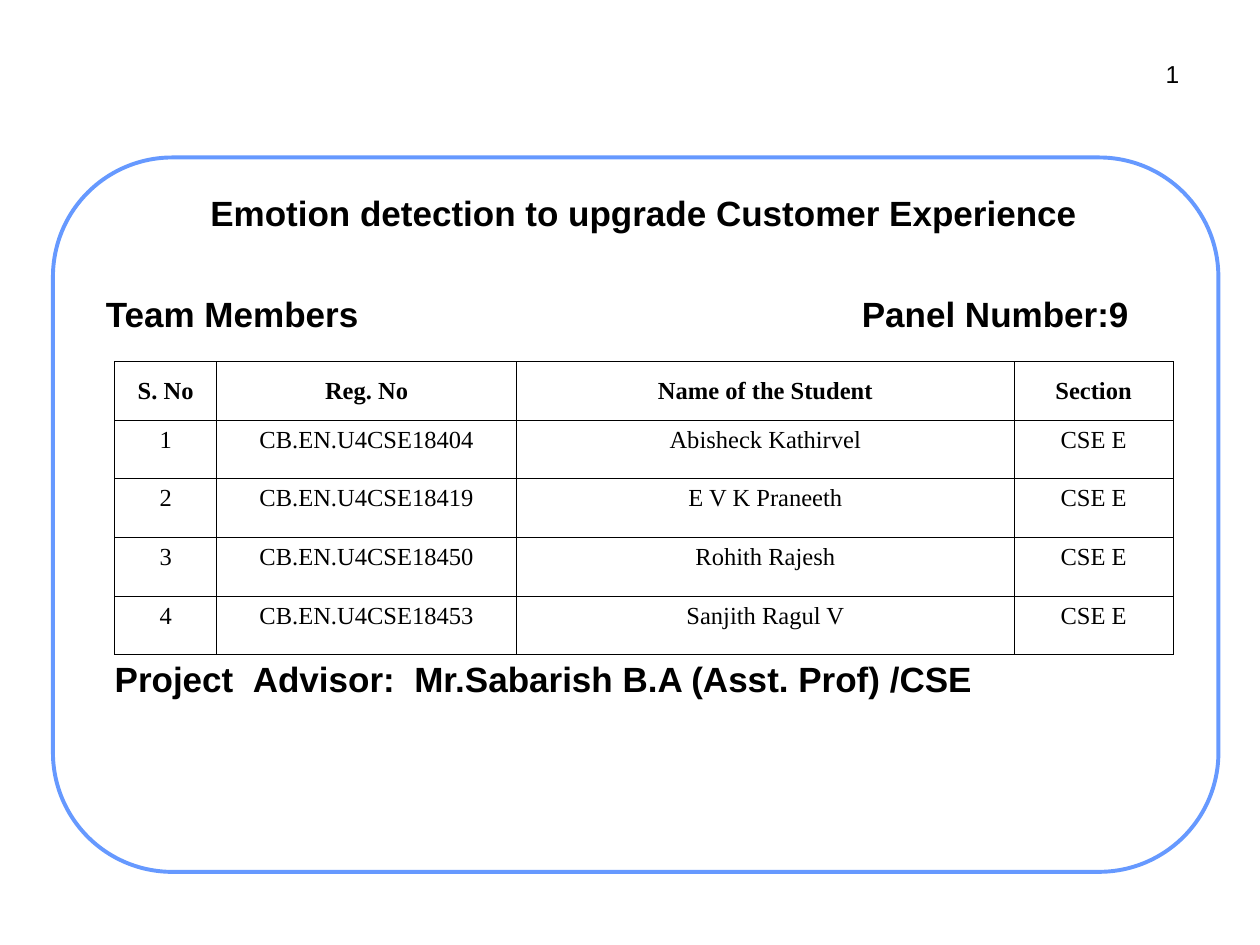
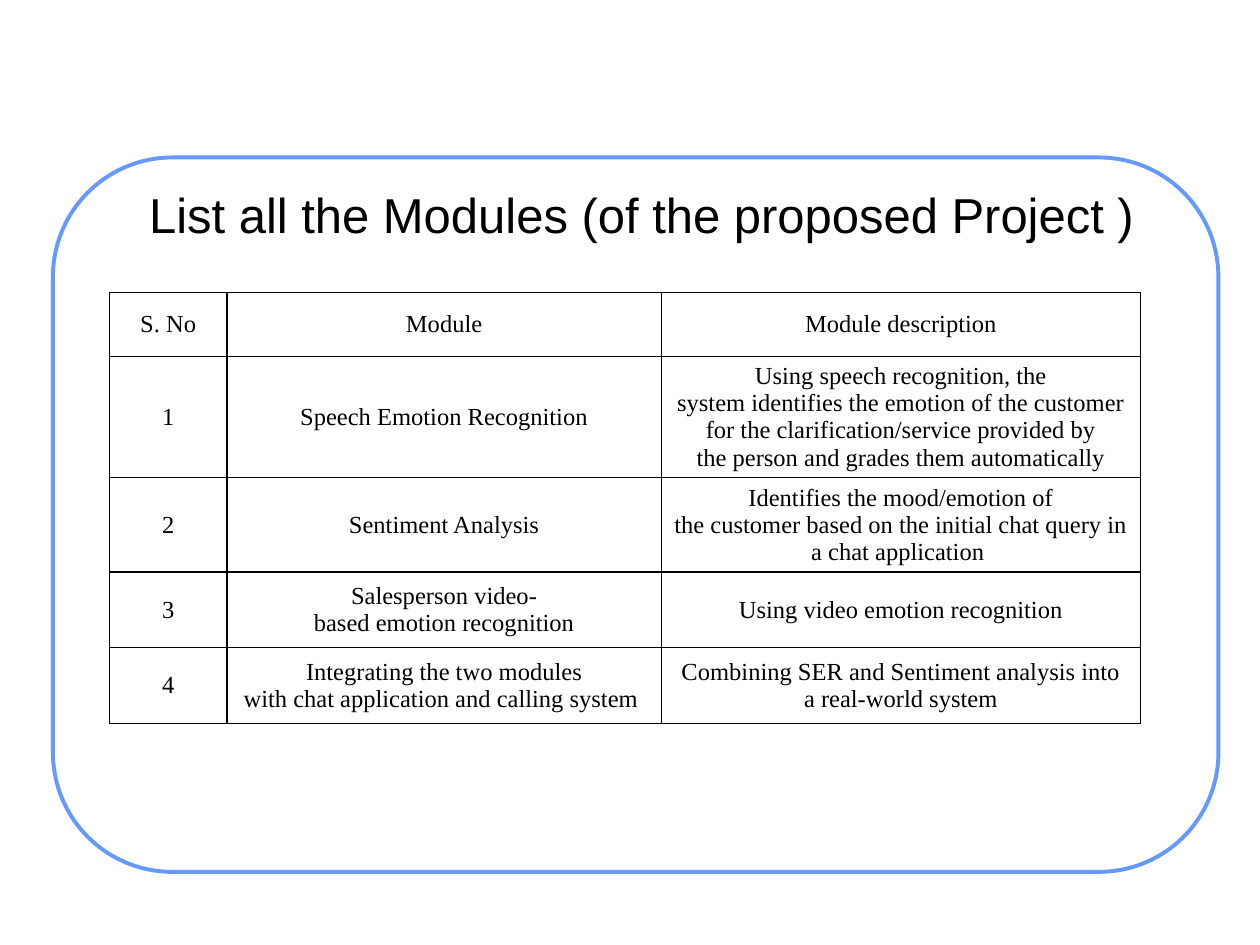
from lxml.etree import SubElement
from pptx import Presentation
from pptx.dml.color import RGBColor
from pptx.enum.shapes import MSO_SHAPE
from pptx.enum.text import MSO_ANCHOR, MSO_AUTO_SIZE, PP_ALIGN
from pptx.oxml.ns import qn
from pptx.util import Inches, Pt

COLORS = {"paper": "FFFFFF", "ink": "000000", "frame": "6699FF"}
HEADING_FONT = "Arial"
TABLE_FONT = "Times New Roman"
FRAME_BOX = (0.42, 1.25, 9.25, 5.67)
INSET = 0.05
TIE = "~"
HARD_SPACE = chr(160)

TEAM = [
    ("S.~No", "Reg.~No", "Name of the Student", "Section"),
    ("1", "CB.EN.U4CSE18404", "Abisheck Kathirvel", "CSE~E"),
    ("2", "CB.EN.U4CSE18419", "E V K~Praneeth", "CSE E"),
    ("3", "CB.EN.U4CSE18450", "Rohith Rajesh", "CSE E"),
    ("4", "CB.EN.U4CSE18453", "Sanjith Ragul V", "CSE E"),
]
MODULES = [
    ("S.~No", "Module", "Module description"),
    ("1", "Speech Emotion Recognition",
     "Using speech recognition, the system~identifies~the emotion of the customer "
     "for~the~clarification/service provided by the~person and~grades them automatically"),
    ("2", "Sentiment Analysis",
     "Identifies the mood/emotion of the~customer~based on the initial chat query~in "
     "a chat~application~"),
    ("3", "Salesperson~video-based~emotion~recognition",
     "Using video emotion recognition"),
    ("4", "Integrating the two modules with~chat~application and calling system~",
     "Combining SER and Sentiment analysis~into a~real-world system"),
]


def color(name):
    """Return the palette colour of the given name."""
    return RGBColor.from_string(COLORS[name])


def write(frame, text, size=20, font=HEADING_FONT, bold=False, align=PP_ALIGN.LEFT):
    """Write one formatted paragraph, with ties as hard spaces, and return it."""
    paragraph = frame.paragraphs[0]
    paragraph.alignment = align
    run = paragraph.add_run()
    run.text = text.replace(TIE, HARD_SPACE)
    run.font.size = Pt(size)
    run.font.name = font
    run.font.bold = bold
    run.font.color.rgb = color("ink")
    return paragraph


def set_insets(frame):
    """Give a text frame the same narrow inset on all sides."""
    frame.margin_left = frame.margin_right = Inches(INSET)
    frame.margin_top = frame.margin_bottom = Inches(INSET)


def add_line_of_text(slide, box, text, **style):
    """Add a wrapping text box and return its paragraph."""
    frame = slide.shapes.add_textbox(*map(Inches, box)).text_frame
    frame.word_wrap = True
    set_insets(frame)
    return write(frame, text, **style)


def add_title(slide, box, text, **style):
    """Move the title placeholder into a box and fill it."""
    title = slide.shapes.title
    title.left, title.top, title.width, title.height = map(Inches, box)
    frame = title.text_frame
    set_insets(frame)
    frame.auto_size = MSO_AUTO_SIZE.NONE
    frame.vertical_anchor = MSO_ANCHOR.MIDDLE
    write(frame, text, align=PP_ALIGN.CENTER, **style)


def add_tab_stop(paragraph, position):
    """Set one left tab stop on a paragraph."""
    stops = SubElement(paragraph._p.get_or_add_pPr(), qn("a:tabLst"))
    SubElement(stops, qn("a:tab"), pos=str(Inches(position)), algn="l")


def add_cell_borders(cell, width):
    """Draw all four borders of a table cell."""
    properties = cell._tc.get_or_add_tcPr()
    for index, side in enumerate(("lnL", "lnR", "lnT", "lnB")):
        border = SubElement(properties, qn(f"a:{side}"), w=str(Pt(width)))
        fill = SubElement(border, qn("a:solidFill"))
        SubElement(fill, qn("a:srgbClr"), val=COLORS["ink"])
        properties.insert(index, border)


def add_grid(slide, corner, widths, heights, records, border,
             bold_header=False, body_anchor=MSO_ANCHOR.MIDDLE):
    """Add a bordered table with centred text at a corner."""
    box = (*corner, sum(widths), sum(heights))
    table = slide.shapes.add_table(len(records), len(widths), *map(Inches, box)).table
    table.first_row = table.horz_banding = False
    for column, width in zip(table.columns, widths):
        column.width = Inches(width)
    for row, height in zip(table.rows, heights):
        row.height = Inches(height)
    for row_index, record in enumerate(records):
        is_header = row_index == 0
        for column_index, text in enumerate(record):
            cell = table.cell(row_index, column_index)
            cell.fill.background()
            cell.vertical_anchor = MSO_ANCHOR.MIDDLE if is_header else body_anchor
            write(cell.text_frame, text, size=14, font=TABLE_FONT,
                  bold=bold_header and is_header, align=PP_ALIGN.CENTER)
            add_cell_borders(cell, border)


def add_shared_frame(slide, box):
    """Draw the rounded frame and move it to the layout that the slides share."""
    outline = slide.shapes.add_shape(MSO_SHAPE.ROUNDED_RECTANGLE, *map(Inches, box))
    outline.adjustments[0] = 0.167
    outline.shadow.inherit = False
    outline.fill.solid()
    outline.fill.fore_color.rgb = color("paper")
    outline.line.color.rgb = color("frame")
    outline.line.width = Pt(2.25)
    outline.element.nvSpPr.cNvPr.set("id", "100")
    slide.slide_layout.shapes.element.insert_element_before(outline.element, "p:extLst")


def build_team_slide(slide, box):
    """Fill the slide that presents the team and its advisor."""
    left, top, width, _ = box
    add_title(slide, (left + 0.48, top - 0.06, 8.42, 1),
              "Emotion detection to upgrade Customer Experience", bold=True)
    add_line_of_text(slide, (9.01, 0.42, 0.4, 0.32), "1", size=14, align=PP_ALIGN.RIGHT)
    heading = add_line_of_text(slide, (left + 0.37, top + 1.02, width - 0.49, 0.41),
                               "Team Members\tPanel Number:9", bold=True)
    add_tab_stop(heading, 6)
    add_grid(slide, (left + 0.49, top + 1.62), (0.81, 2.38, 3.95, 1.26),
             [0.465] * len(TEAM), TEAM, 0.6,
             bold_header=True, body_anchor=MSO_ANCHOR.TOP)
    add_line_of_text(slide, (left + 0.44, top + 3.92, width - 0.57, 0.41),
                     "Project ~Advisor: ~Mr.Sabarish~B.A (Asst. Prof) /CSE", bold=True)


def build_modules_slide(slide, box):
    """Fill the slide that lists the project modules."""
    left, top, _, _ = box
    add_title(slide, (left + 0.17, top - 0.38, 9, 1.65),
              "List~all the Modules (of the proposed Project )", size=28)
    add_grid(slide, (left + 0.45, top + 1.07), (0.93, 3.45, 3.8),
             (0.51, 0.96, 0.75, 0.6, 0.6), MODULES, 1)


def main():
    """Build and save the presentation."""
    presentation = Presentation()
    presentation.slide_width, presentation.slide_height = Inches(10), Inches(7.5)
    layout = presentation.slide_layouts.get_by_name("Title Only")
    team_slide, modules_slide = (presentation.slides.add_slide(layout) for _ in range(2))
    add_shared_frame(team_slide, FRAME_BOX)
    build_team_slide(team_slide, FRAME_BOX)
    build_modules_slide(modules_slide, FRAME_BOX)
    presentation.save("out.pptx")


if __name__ == "__main__":
    main()
